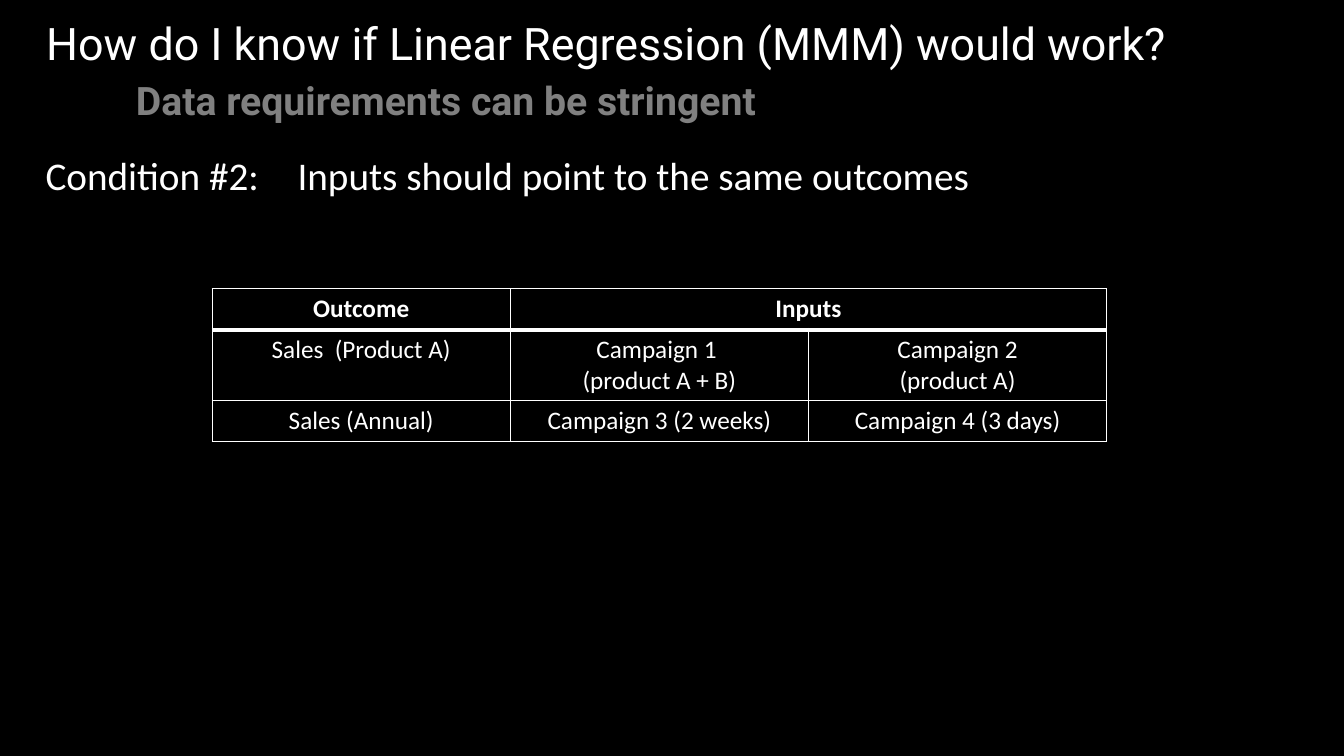
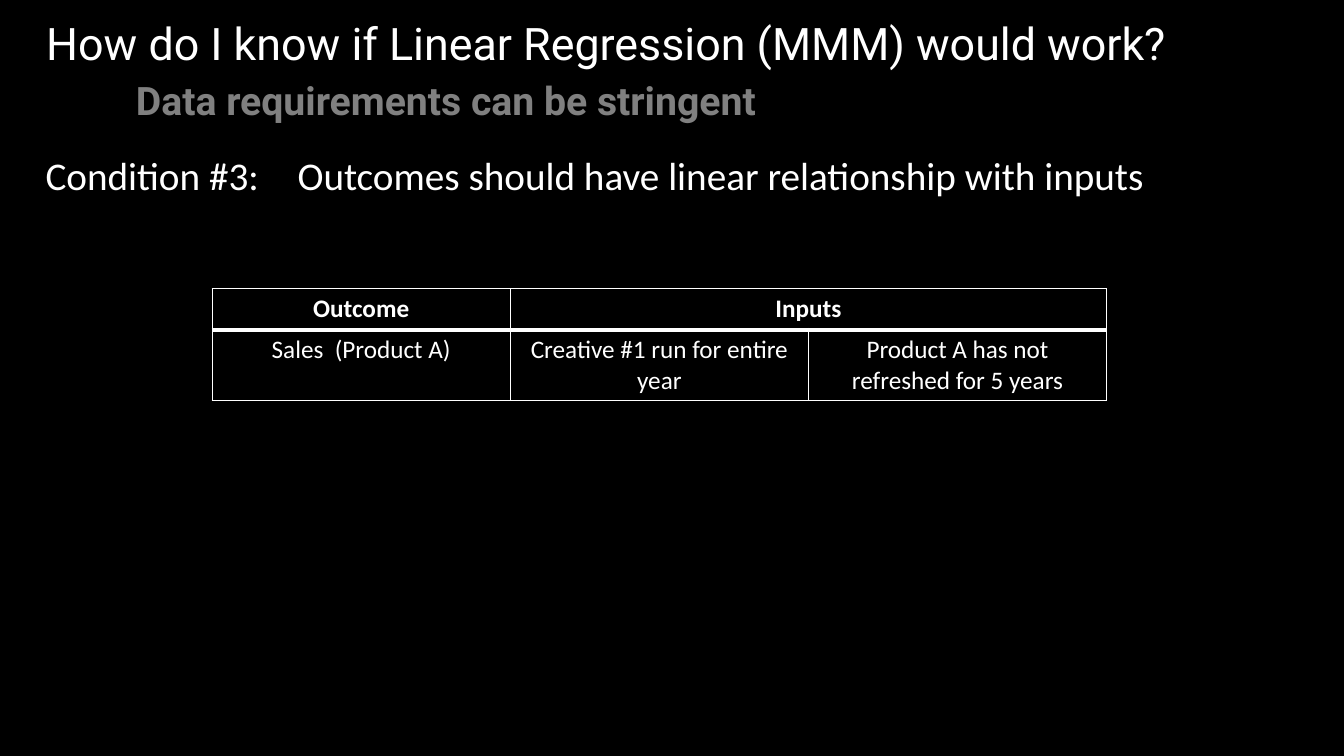
from dataclasses import dataclass

from lxml.etree import SubElement
from pptx import Presentation
from pptx.dml.color import RGBColor as RGB
from pptx.enum.text import MSO_ANCHOR as ANCHOR, MSO_AUTO_SIZE as AUTO, PP_ALIGN as ALIGN
from pptx.oxml.ns import qn
from pptx.util import Emu, Pt

PX = 9525


def px(n):
    return Emu(n * PX)


@dataclass(frozen=True)
class Theme:
    back: str = "000000"
    ink: str = "FFFFFF"
    muted: str = "808080"
    head_font: str = "Roboto"
    body_font: str = "Calibri"
    title_size: int = 32
    lead_size: int = 28
    cell_size: int = 18
    rule: int = 1
    head_rule: int = 3
    head_insets: tuple = (10, 10, 19, 10)
    head_before: int = 10


def write(tf, text, *, size, font, color, bold=False, align=ALIGN.LEFT, before=0):
    for i, line in enumerate(text.split("\n")):
        p = tf.add_paragraph() if i else tf.paragraphs[0]
        p.alignment = align
        p.space_before = Pt(before)
        r = p.add_run()
        r.text = line
        r.font.size = Pt(size)
        r.font.name = font
        r.font.bold = bold
        r.font.color.rgb = RGB.from_string(color)


def border(cell, color, **widths):
    tcPr = cell._tc.get_or_add_tcPr()
    for side in "LRTB":
        ln = SubElement(tcPr, qn(f"a:ln{side}"), w=str(Pt(widths[side])))
        fill = SubElement(ln, qn("a:solidFill"))
        SubElement(fill, qn("a:srgbClr"), val=color)


class Deck:
    def __init__(self, theme):
        self.theme = theme
        self.prs = Presentation()
        self.prs.slide_width, self.prs.slide_height = px(1280), px(720)
        fill = self.prs.slide_master.background.fill
        fill.solid()
        fill.fore_color.rgb = RGB.from_string(theme.back)

    def slide(self):
        self.s = self.prs.slides.add_slide(self.prs.slide_layouts[5])

    def head_frame(self, sp):
        tf = sp.text_frame
        tf.word_wrap = True
        tf.auto_size = AUTO.NONE
        tf.vertical_anchor = ANCHOR.TOP
        (tf.margin_left, tf.margin_top,
         tf.margin_right, tf.margin_bottom) = map(px, self.theme.head_insets)
        return tf

    def title(self, text):
        t = self.theme
        sp = self.s.shapes.title
        sp.left, sp.top, sp.width, sp.height = map(px, (34, 5, 1246, 85))
        write(self.head_frame(sp), text, size=t.title_size, font=t.head_font,
              color=t.ink, before=t.head_before)

    def subtitle(self, text):
        t = self.theme
        sp = self.s.shapes.add_textbox(*map(px, (51, 63, 756, 56)))
        write(self.head_frame(sp), text, size=t.lead_size, font=t.head_font,
              color=t.muted, bold=True, align=ALIGN.CENTER, before=t.head_before)

    def condition(self, number, text):
        t = self.theme
        tf = self.s.shapes.add_textbox(*map(px, (34, 139, 1169, 55))).text_frame
        tf.word_wrap = True
        tf.auto_size = AUTO.SHAPE_TO_FIT_TEXT
        write(tf, f"Condition #{number}:\t{text}", size=t.lead_size,
              font=t.body_font, color=t.ink)

    def table(self, rows, left=202, top=275, col=284, row=39):
        t = self.theme
        cols = len(rows[0])
        frame = self.s.shapes.add_table(len(rows), cols, px(left), px(top),
                                        px(col * cols), px(row * len(rows)))
        tbl = frame.table
        tbl.horz_banding = False
        for i, texts in enumerate(rows):
            for j, text in enumerate(texts):
                cell = tbl.cell(i, j)
                border(cell, t.ink, L=t.rule, R=t.rule,
                       T=t.head_rule if i == 1 else t.rule,
                       B=t.head_rule if i == 0 else t.rule)
                cell.fill.background()
                if text:
                    write(cell.text_frame, text, size=t.cell_size, font=t.body_font,
                          color=t.ink, bold=i == 0, align=ALIGN.CENTER)
        tbl.cell(0, 1).merge(tbl.cell(0, cols - 1))


HEADER = ("Outcome", "Inputs", "")
CONDITIONS = [
    (2, "Inputs should point to the same outcomes", [
        ("Sales  (Product A)", "Campaign 1 \n(product A + B)", "Campaign 2\n(product A)"),
        ("Sales (Annual)", "Campaign 3 (2 weeks)", "Campaign 4 (3 days)"),
    ]),
    (3, "Outcomes should have linear relationship with inputs", [
        ("Sales  (Product A)", "Creative #1 run for entire year",
         "Product A has not refreshed for 5 years"),
    ]),
]


def main():
    deck = Deck(Theme())
    for number, text, rows in CONDITIONS:
        deck.slide()
        deck.title("How do I know if Linear Regression (MMM) would work?")
        deck.condition(number, text)
        deck.subtitle("Data requirements can be stringent")
        deck.table([HEADER, *rows])
    deck.prs.save("out.pptx")


if __name__ == "__main__":
    main()
